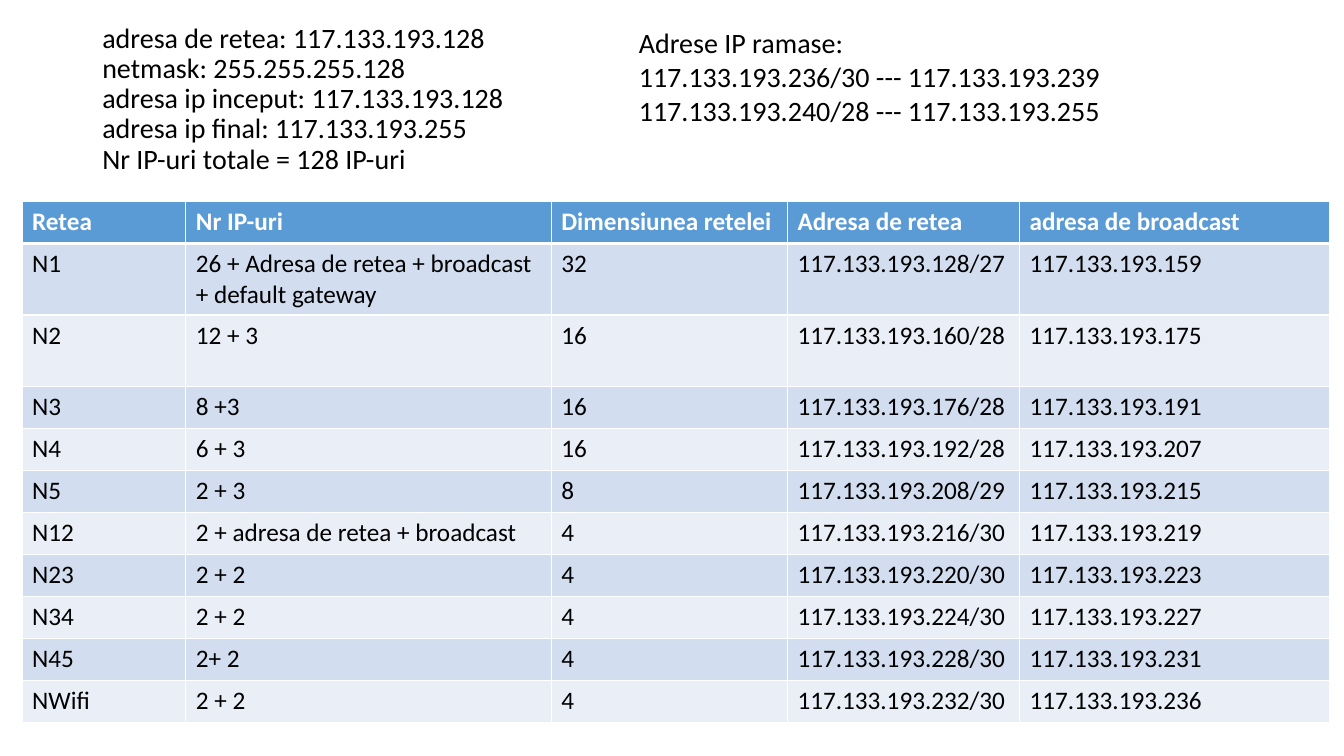
from dataclasses import dataclass

from lxml import etree
from pptx import Presentation
from pptx import util as u
from pptx.dml.color import RGBColor
from pptx.enum import text
from pptx.oxml.ns import qn
from pptx.slide import Slide
from pptx.table import _Cell
from pptx.text.text import TextFrame

PX = 9525
WHITE, BLACK, HEADING_BLUE = "FFFFFF", "000000", "5B9BD5"
BANDS = ("D2DEEF", "EAEFF7")


@dataclass(frozen=True)
class Note:
    left: int
    top: int
    width: int
    height: int
    lines: tuple[str, ...]
    spacing: float = 1.0
    anchor: text.MSO_ANCHOR = text.MSO_ANCHOR.TOP
    bottom_inset: int = 5


@dataclass(frozen=True)
class Network:
    name: str
    ip_count: str
    size: str
    address: str
    broadcast: str
    height: int = 40

    def values(self) -> tuple[str, ...]:
        return self.name, self.ip_count, self.size, self.address, self.broadcast


NOTES = (
    Note(88, 40, 492, 139, (
        "adresa de retea: 117.133.193.128",
        "netmask: 255.255.255.128",
        "adresa ip inceput: 117.133.193.128",
        "adresa ip final: 117.133.193.255",
        "Nr IP-uri totale = 128 IP-uri",
    ), spacing=0.9, anchor=text.MSO_ANCHOR.MIDDLE, bottom_inset=34),
    Note(599, 20, 640, 171, (
        "Adrese IP ramase:",
        "117.133.193.236/30 --- 117.133.193.239",
        "117.133.193.240/28 --- 117.133.193.255",
    )),
)

COLUMN_WIDTHS = (156, 348, 225, 221, 295)
HEADINGS = Network("Retea", "Nr IP-uri", "Dimensiunea retelei",
                   "Adresa de retea", "adresa de broadcast")
NETWORKS = (
    Network("N1", "26 + Adresa de retea + broadcast + default gateway", "32",
            "117.133.193.128/27", "117.133.193.159", height=68),
    Network("N2", "12 + 3", "16", "117.133.193.160/28", "117.133.193.175", height=68),
    Network("N3", "8 +3", "16", "117.133.193.176/28", "117.133.193.191"),
    Network("N4", "6 + 3", "16", "117.133.193.192/28", "117.133.193.207"),
    Network("N5", "2 + 3", "8", "117.133.193.208/29", "117.133.193.215"),
    Network("N12", "2 + adresa de retea + broadcast", "4",
            "117.133.193.216/30", "117.133.193.219"),
    Network("N23", "2 + 2", "4", "117.133.193.220/30", "117.133.193.223"),
    Network("N34", "2 + 2", "4", "117.133.193.224/30", "117.133.193.227"),
    Network("N45", "2+ 2", "4", "117.133.193.228/30", "117.133.193.231"),
    Network("NWifi", "2 + 2", "4", "117.133.193.232/30", "117.133.193.236"),
)


def px(length: int) -> u.Emu:
    return u.Emu(length * PX)


def color(value: str) -> RGBColor:
    return RGBColor.from_string(value)


def write(frame: TextFrame, *lines: str, size: int, ink: str = BLACK,
          bold: bool = False, spacing: float = 1.0) -> None:
    frame.word_wrap = True
    for index, line in enumerate(lines):
        paragraph = frame.add_paragraph() if index else frame.paragraphs[0]
        paragraph.line_spacing = spacing
        run = paragraph.add_run()
        run.text = line
        run.font.name = "Calibri"
        run.font.size = u.Pt(size)
        run.font.bold = bold
        run.font.color.rgb = color(ink)


def draw_note(slide: Slide, note: Note) -> None:
    box = slide.shapes.add_textbox(px(note.left), px(note.top),
                                   px(note.width), px(note.height))
    frame = box.text_frame
    frame.vertical_anchor = note.anchor
    frame.margin_bottom = px(note.bottom_inset)
    write(frame, *note.lines, size=20, spacing=note.spacing)


def add_borders(cell: _Cell, top: int, bottom: int) -> None:
    properties = cell._tc.get_or_add_tcPr()
    for side, points in (("L", 1), ("R", 1), ("T", top), ("B", bottom)):
        border = etree.SubElement(properties, qn(f"a:ln{side}"), w=str(u.Pt(points)))
        fill = etree.SubElement(border, qn("a:solidFill"))
        etree.SubElement(fill, qn("a:srgbClr"), val=WHITE)


def draw_networks(slide: Slide, left: int, top: int) -> None:
    networks = (HEADINGS, *NETWORKS)
    height = sum(network.height for network in networks)
    table = slide.shapes.add_table(
        len(networks), len(COLUMN_WIDTHS), px(left), px(top),
        px(sum(COLUMN_WIDTHS)), px(height)).table
    for column, width in zip(table.columns, COLUMN_WIDTHS):
        column.width = px(width)
    for index, network in enumerate(networks):
        heading = index == 0
        table.rows[index].height = px(network.height)
        for cell, value in zip(table.rows[index].cells, network.values()):
            add_borders(cell, top=3 if index == 1 else 1, bottom=3 if heading else 1)
            cell.fill.solid()
            cell.fill.fore_color.rgb = color(
                HEADING_BLUE if heading else BANDS[(index - 1) % 2])
            write(cell.text_frame, value, size=18, bold=heading,
                  ink=WHITE if heading else BLACK)


def main() -> None:
    presentation = Presentation()
    presentation.slide_width, presentation.slide_height = px(1280), px(720)
    slide = presentation.slides.add_slide(presentation.slide_layouts[6])
    for note in NOTES:
        draw_note(slide, note)
    draw_networks(slide, left=21, top=192)
    presentation.save("out.pptx")


if __name__ == "__main__":
    main()
